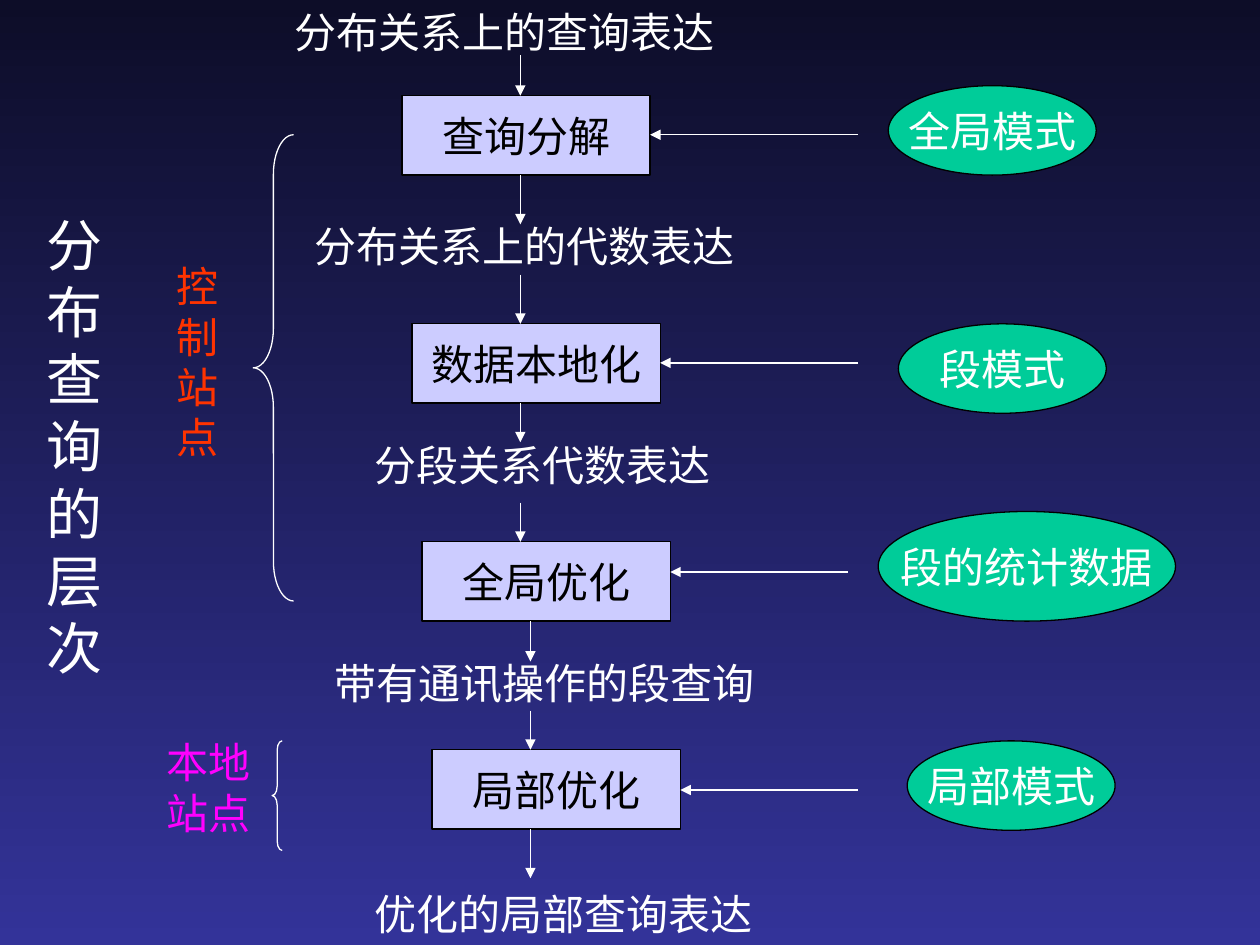
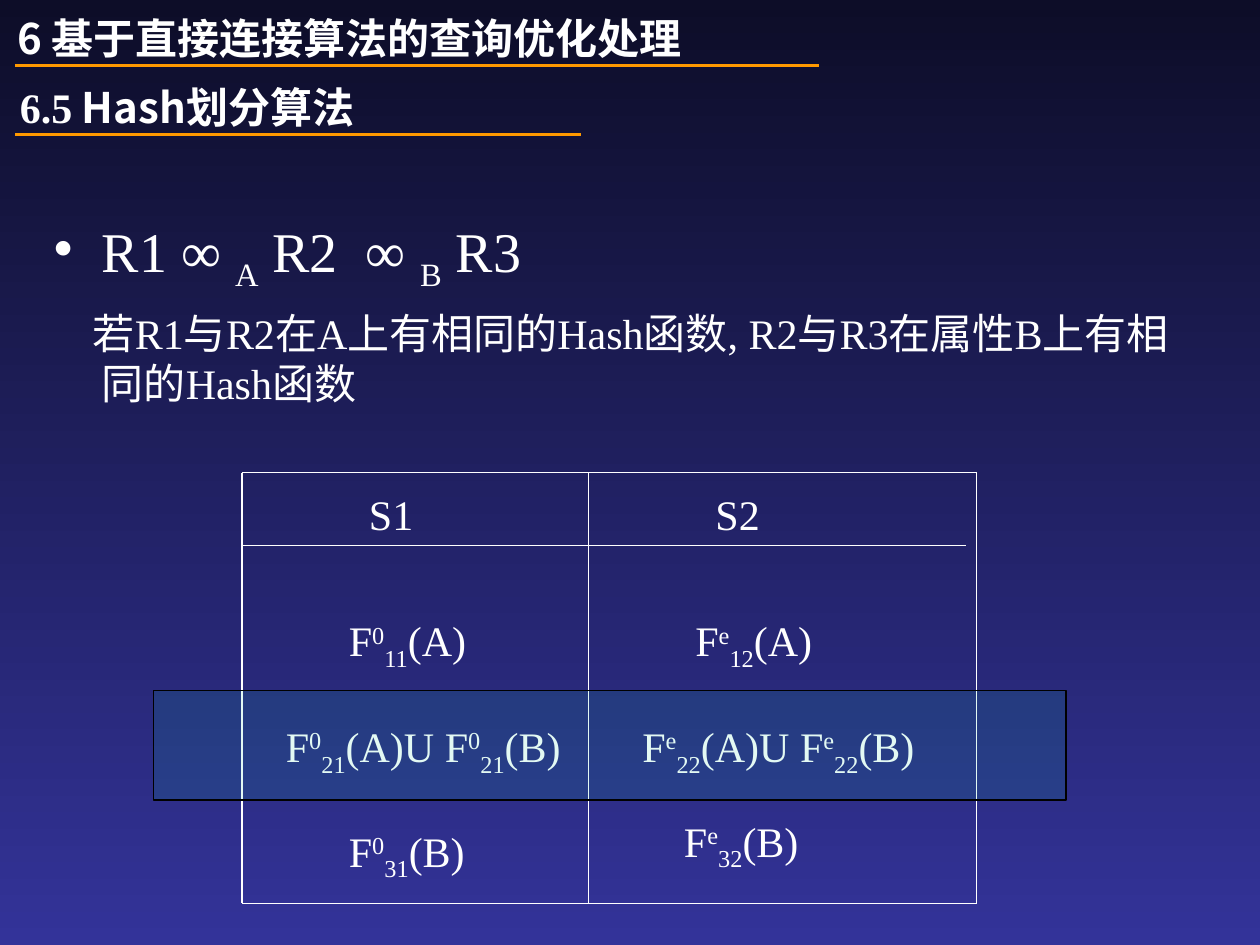
import lxml.etree
import pptx
import pptx.dml.color
import pptx.enum.lang
import pptx.enum.shapes
import pptx.enum.text
import pptx.oxml.ns
import pptx.util

RGBColor = pptx.dml.color.RGBColor
NIGHT = RGBColor(0x0D, 0x0D, 0x28)
INDIGO = RGBColor(0x33, 0x33, 0x99)
WHITE = RGBColor(0xFF, 0xFF, 0xFF)
BLACK = RGBColor(0x00, 0x00, 0x00)
LAVENDER = RGBColor(0xCC, 0xCC, 0xFF)
GREEN = RGBColor(0x00, 0xCC, 0x99)
RED = RGBColor(0xFF, 0x33, 0x00)
MAGENTA = RGBColor(0xFF, 0x00, 0xFF)
ORANGE = RGBColor(0xFF, 0x99, 0x00)

SERIF = "Times New Roman"
SANS = "Noto Sans CJK SC"
COLUMNS, ROWS = 100, 75
CELL = pptx.util.Inches(0.1)
SHAPES = pptx.enum.shapes.MSO_SHAPE
SUPER, SUB = 30, -25


def grid(*cells):
    return [round(cell * CELL) for cell in cells]


def add_xml(parent, tag, **attributes):
    return lxml.etree.SubElement(parent, pptx.oxml.ns.qn(tag), **attributes)


def style(paragraph, size=24, color=WHITE, bold=False, name=SERIF):
    font = paragraph.font
    font.size = pptx.util.Pt(size)
    font.name = name
    font.bold = bold
    font.color.rgb = color
    font.language_id = pptx.enum.lang.MSO_LANGUAGE_ID.SIMPLIFIED_CHINESE


def add_runs(paragraph, pieces):
    for text, baseline in pieces:
        run = paragraph.add_run()
        run.text = text
        if baseline:
            run._r.get_or_add_rPr().set("baseline", str(baseline * 1000))


def add_label(slide, at, pieces, **look):
    frame = slide.shapes.add_textbox(*grid(*at)).text_frame
    frame.word_wrap = True
    frame.auto_size = pptx.enum.text.MSO_AUTO_SIZE.SHAPE_TO_FIT_TEXT
    paragraph = frame.paragraphs[0]
    style(paragraph, **look)
    add_runs(paragraph, [(pieces, 0)] if isinstance(pieces, str) else pieces)
    return paragraph


def add_line(slide, start, end, color=WHITE, width=0.75, arrow=False):
    line = slide.shapes.add_connector(
        pptx.enum.shapes.MSO_CONNECTOR.STRAIGHT, *grid(*start, *end))
    line.line.color.rgb = color
    line.line.width = pptx.util.Pt(width)
    properties = line._element.spPr
    if arrow:
        add_xml(properties.find(pptx.oxml.ns.qn("a:ln")), "a:tailEnd", type="triangle")
    add_xml(properties, "a:effectLst")


def add_figure(slide, kind, at, fill=None, outline=BLACK):
    figure = slide.shapes.add_shape(kind, *grid(*at))
    figure.shadow.inherit = False
    figure.line.color.rgb = outline
    figure.line.width = pptx.util.Pt(0.75)
    if fill is None:
        figure.fill.background()
    else:
        figure.fill.solid()
        figure.fill.fore_color.rgb = fill
    return figure


def add_node(slide, kind, at, text, fill, color):
    frame = add_figure(slide, kind, at, fill).text_frame
    frame.word_wrap = False
    frame.vertical_anchor = pptx.enum.text.MSO_ANCHOR.MIDDLE
    paragraph = frame.paragraphs[0]
    paragraph.alignment = pptx.enum.text.PP_ALIGN.CENTER
    paragraph.text = text
    style(paragraph, color=color)


def add_brace(slide, at, curl):
    brace = add_figure(slide, SHAPES.LEFT_BRACE, at, outline=WHITE)
    brace.adjustments[0] = curl


def add_heading(slide, left, top, width, pieces, rule_end, rule_row, **look):
    paragraph = add_label(slide, (left, top, width, 5), pieces, bold=True, **look)
    add_line(slide, (1.2, rule_row), (rule_end, rule_row), ORANGE, 1.5)
    return paragraph


def paint_background(master):
    fill = master.background.fill
    fill.gradient()
    fill.gradient_angle = 270
    for stop, color in zip(fill.gradient_stops, (NIGHT, INDIGO)):
        stop.color.rgb = color


def build_layers(slide):
    box_width, box_height, box_step = 19.7, 6.3, 0.8
    stages = [
        ("查询分解", 7.6, (41.3, 3.2), (41.3, 3.9)),
        ("数据本地化", 25.7, (41.3, 3.9), (41.3, 3.1)),
        ("全局优化", 43, (41.3, 3.1), (42.1, 3.2)),
        ("局部优化", 59.5, (42.1, 3.1), (42.1, 3.9)),
    ]
    schemas = [
        ("全局模式", (70.5, 6.8, 16.5, 7.1), 68.1, 10.7),
        ("段模式", (71.3, 25.7, 16.5, 7.1), 68.1, 28.8),
        ("段的统计数据", (69.7, 40.6, 23.6, 8.7), 67.3, 45.4),
        ("局部模式", (72, 58.8, 16.5, 7.1), 68.1, 62.7),
    ]
    for index, (stage, schema) in enumerate(zip(stages, schemas)):
        name, top, (inlet, drop), (outlet, fall) = stage
        left, bottom = 31.9 + index * box_step, top + box_height
        add_node(slide, SHAPES.RECTANGLE, (left, top, box_width, box_height),
                 name, LAVENDER, BLACK)
        add_line(slide, (inlet, top - drop), (inlet, top), arrow=True)
        add_line(slide, (outlet, bottom), (outlet, bottom + fall), arrow=True)
        schema_name, oval, source, row = schema
        add_node(slide, SHAPES.OVAL, oval, schema_name, GREEN, WHITE)
        add_line(slide, (source, row), (left + box_width, row), arrow=True)

    for expression, left, top, width in (
        ("分布关系上的查询表达", 22.4, 0, 40.9),
        ("分布关系上的代数表达", 24, 17, 40.9),
        ("分段关系代数表达", 28.7, 34.4, 40.9),
        ("带有通讯操作的段查询", 25.6, 51.7, 48.8),
        ("优化的局部查询表达", 28.7, 70, 40.9),
    ):
        add_label(slide, (left, top, width, 5), expression)

    add_brace(slide, (20.1, 10.7, 3.2, 37), 0.98)
    add_label(slide, (13, 20.2, 7.9, 17), "控制站点", color=RED)
    add_brace(slide, (21.6, 58.8, 0.8, 8.7), 0.92)
    add_label(slide, (12.2, 58, 11, 9), "本地站点", color=MAGENTA)
    add_label(slide, (2.7, 16.2, 7.1, 38.3), "分布查询的层次", size=32)


def fragment(bucket, number, attribute):
    return [("F", 0), (bucket, SUPER), (number, SUB), (f"({attribute})", 0)]


def add_join_rule(slide):
    frame = slide.shapes.add_textbox(*grid(3.3, 16.7, 93.3, 16.7)).text_frame
    frame.word_wrap = True
    join, condition = frame.paragraphs[0], frame.add_paragraph()
    add_runs(join, [("R1 ∞ ", 0), ("A", SUB), (" R2  ∞ ", 0), ("B", SUB), (" R3", 0)])
    add_runs(condition, [("若R1与R2在A上有相同的Hash函数, R2与R3在属性B上有相同的Hash函数", 0)])
    for paragraph, size, hanging in ((join, 32, 3.8), (condition, 24, 0.7)):
        style(paragraph, size)
        margin, indent = grid(3.8, -hanging)
        properties = paragraph._p.get_or_add_pPr()
        properties.set("marL", str(margin))
        properties.set("indent", str(indent))
    bullet = lxml.etree.Element(pptx.oxml.ns.qn("a:buChar"), char="•")
    join._p.pPr.insert(0, bullet)
    condition.space_before = pptx.util.Pt(8)


def add_sites(slide):
    left, middle, right = 19.2, 46.7, 77.5
    top, header, bottom = 37.5, 43.3, 71.7
    for row, end in ((top, right), (header, 76.7), (bottom, right)):
        add_line(slide, (left, row), (end, row))
    for column in (left, middle, right):
        add_line(slide, (column, top), (column, bottom))

    sites = [
        ("S1", "0", "1", 28.3, 26.7, 21.7, (26.7, 65)),
        ("S2", "e", "2", 55.8, 54.2, 50, (53.3, 64.2)),
    ]
    for site, bucket, number, name_left, first_left, union_left, last in sites:
        union = (fragment(bucket, "2" + number, "A") + [("U ", 0)]
                 + fragment(bucket, "2" + number, "B"))
        add_label(slide, (name_left, 38.3, 10.8, 5), site)
        add_label(slide, (first_left, 48.3, 12.5, 5), fragment(bucket, "1" + number, "A"))
        add_label(slide, (union_left, 56.7, 26.7, 5), union)
        add_label(slide, (*last, 12.5, 5), fragment(bucket, "3" + number, "B"))


def build_hash_partition(slide):
    add_join_rule(slide)
    add_sites(slide)
    section = add_heading(slide, 0.6, 6, 50, [("6.5", 0), (" Hash划分算法", 0)],
                          46.1, 10.7)
    section.runs[1].font.name = SANS
    add_heading(slide, 0.4, 0.5, 66.9, "6 基于直接连接算法的查询优化处理",
                65, 5.2, name=SANS)
    highlight = add_figure(slide, SHAPES.RECTANGLE, (12.2, 54.8, 72.4, 8.7), GREEN)
    tint = highlight._element.spPr.find(".//" + pptx.oxml.ns.qn("a:srgbClr"))
    add_xml(tint, "a:alpha", val="11000")


def main():
    deck = pptx.Presentation()
    deck.slide_width, deck.slide_height = grid(COLUMNS, ROWS)
    paint_background(deck.slide_master)
    blank = deck.slide_layouts[6]
    for build in (build_layers, build_hash_partition):
        build(deck.slides.add_slide(blank))
    deck.save("out.pptx")


if __name__ == "__main__":
    main()
